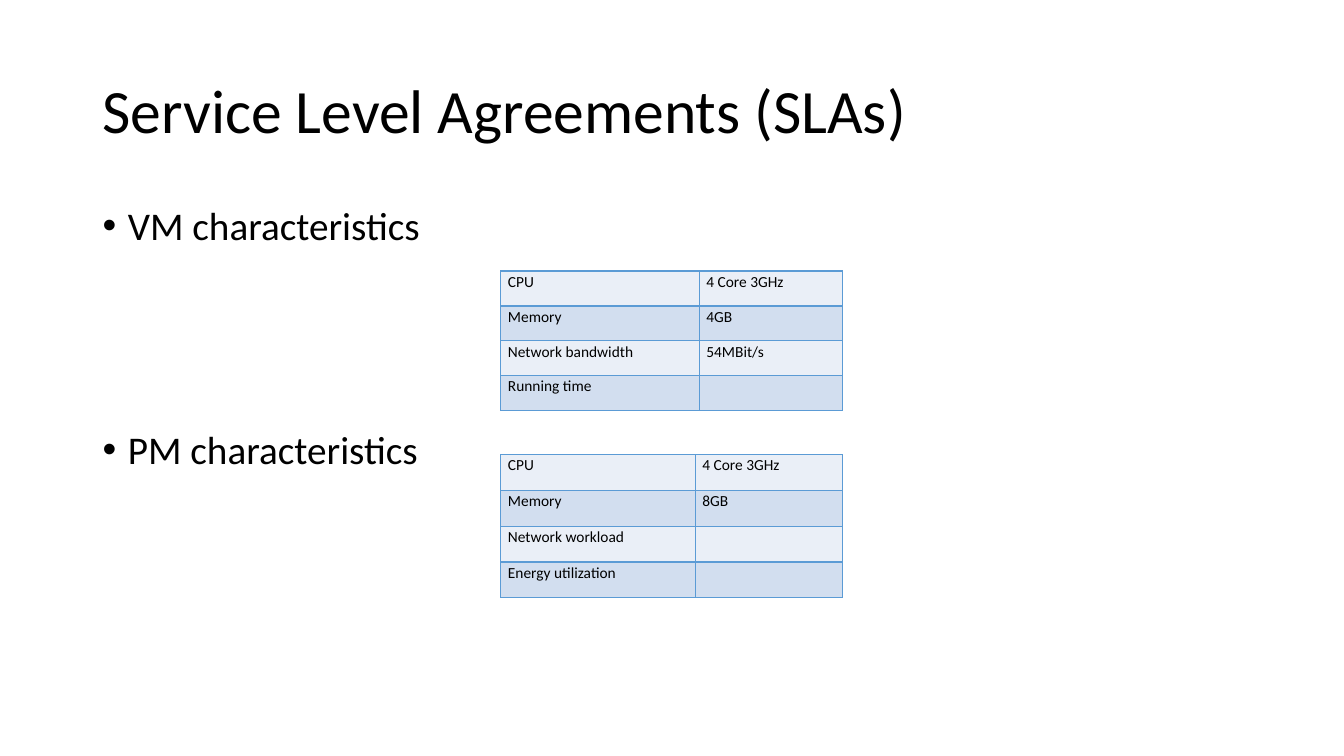
import pptx
import pptx.util
import pptx.dml.color
import pptx.enum.text
import pptx.oxml
import pptx.oxml.ns

Cm, Pt = pptx.util.Cm, pptx.util.Pt
COLOURS = {"text": "000000", "border": "5B9BD5", "light": "EAEFF7", "dark": "D2DEEF"}
LEFT, WIDTH = Cm(2.33), Cm(29.21)


def rgb(name):
    return pptx.dml.color.RGBColor.from_string(COLOURS[name])


def format_paragraph(paragraph, size, **spacing):
    for name, value in {"alignment": pptx.enum.text.PP_ALIGN.LEFT, **spacing}.items():
        setattr(paragraph, name, value)
    for name, value in {"name": "Calibri", "size": Pt(size), "bold": False}.items():
        setattr(paragraph.font, name, value)
    paragraph.font.color.rgb = rgb("text")


deck = pptx.Presentation()
deck.slide_width, deck.slide_height = Cm(33.87), Cm(19.05)
slide = deck.slides.add_slide(deck.slide_layouts[1])

# Title and list placeholders
title, topics = slide.shapes.title, slide.placeholders[1]
anchors = pptx.enum.text.MSO_ANCHOR
for holder, top, height, anchor in (
    (title, 1.01, 3.68, anchors.MIDDLE),
    (topics, 5.07, 12.09, anchors.TOP),
):
    place = {"left": LEFT, "top": Cm(top), "width": WIDTH, "height": Cm(height)}
    for name, value in place.items():
        setattr(holder, name, value)
    holder.text_frame.auto_size = pptx.enum.text.MSO_AUTO_SIZE.NONE
    holder.text_frame.vertical_anchor = anchor

title.text_frame.text = "Service Level Agreements (SLAs)"
format_paragraph(title.text_frame.paragraphs[0], 44, line_spacing=0.9)

# The gap before the second topic leaves room for the first table
topics.text_frame.text = "VM characteristics\nPM characteristics"
for topic, gap in zip(topics.text_frame.paragraphs, (10, 130)):
    format_paragraph(topic, 28, line_spacing=0.9, space_before=Pt(gap))
    properties = topic._p.get_or_add_pPr()
    properties.set("marL", str(Cm(0.64)))
    properties.set("indent", str(-Cm(0.64)))

# Tables: top, row height, column widths, rows
tables = (
    (6.83, 0.88, (5.0, 3.61), (
        ("CPU", "4 Core 3GHz"),
        ("Memory", "4GB"),
        ("Network bandwidth", "54MBit/s"),
        ("Running time", ""),
    )),
    (11.46, 0.9, (4.9, 3.71), (
        ("CPU", "4 Core 3GHz"),
        ("Memory", "8GB"),
        ("Network workload", ""),
        ("Energy utilization", ""),
    )),
)
cell_margins = {
    "margin_left": Cm(0.18), "margin_right": Cm(0.18), "margin_top": 0, "margin_bottom": 0,
}
for top, row_height, widths, rows in tables:
    characteristics = slide.shapes.add_table(
        len(rows), len(widths), Cm(12.62), Cm(top), Cm(sum(widths)), Cm(row_height * len(rows))
    ).table
    characteristics.first_row = characteristics.horz_banding = False
    for column, width in zip(characteristics.columns, widths):
        column.width = Cm(width)
    for r, row in enumerate(rows):
        for c, value in enumerate(row):
            cell = characteristics.cell(r, c)
            cell.text = value
            format_paragraph(cell.text_frame.paragraphs[0], 11, line_spacing=1.07)
            for name, margin in cell_margins.items():
                setattr(cell, name, margin)
            # Cell borders, then the banded fill
            for side in "LRTB":
                cell._tc.get_or_add_tcPr().append(pptx.oxml.parse_xml(
                    f'<a:ln{side} {pptx.oxml.ns.nsdecls("a")} w="{Pt(1)}"><a:solidFill>'
                    f'<a:srgbClr val="{COLOURS["border"]}"/></a:solidFill></a:ln{side}>'
                ))
            cell.fill.solid()
            cell.fill.fore_color.rgb = rgb("dark" if r % 2 else "light")

deck.save("out.pptx")
